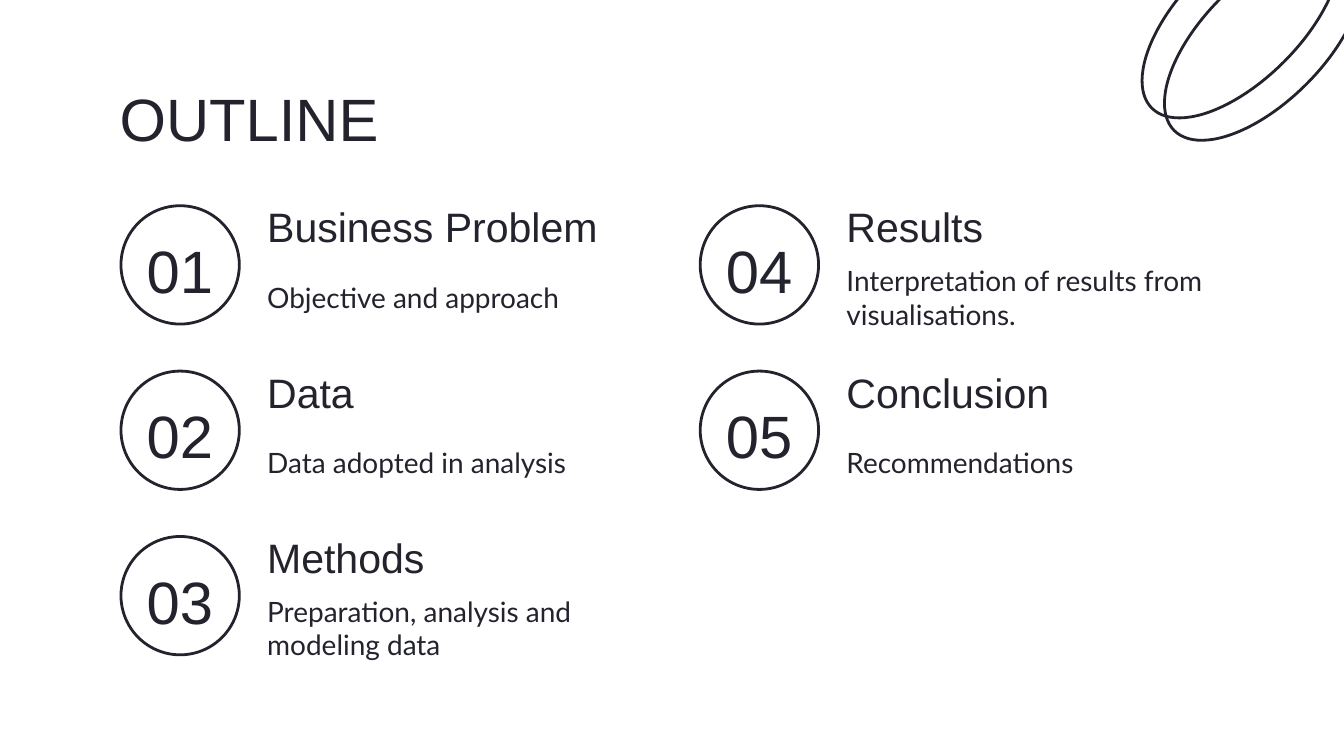
from pptx import Presentation
from pptx.dml.color import RGBColor
from pptx.enum.shapes import MSO_SHAPE
from pptx.enum.text import MSO_ANCHOR, MSO_AUTO_SIZE, PP_ALIGN
from pptx.util import Pt

INK = RGBColor(0x23, 0x23, 0x2D)
WHITE = RGBColor(0xFF, 0xFF, 0xFF)

TOPICS = [
    ("Business Problem", "Objective and approach"),
    ("Data", "Data adopted in analysis"),
    ("Methods", "Preparation, analysis and modeling data"),
    ("Results", "Interpretation of results from visualisations."),
    ("Conclusion", "Recommendations"),
]
ROWS = 3
LEFT, TOP = 64.8, 110.2
COLUMN_STEP, ROW_STEP = 310.3, 88.6
RING = 63.4


def add_outline_oval(left, top, width, height, rotation=0):
    oval = slide.shapes.add_shape(
        MSO_SHAPE.OVAL, Pt(left), Pt(top), Pt(width), Pt(height))
    oval.rotation = rotation
    oval.shadow.inherit = False
    oval.fill.background()
    oval.line.color.rgb = INK
    oval.line.width = Pt(1.5)


def write(box, text, size, font="Arial", align=PP_ALIGN.LEFT,
          anchor=MSO_ANCHOR.MIDDLE, inset_top=7.2):
    frame = box.text_frame
    frame.text = text
    frame_format = {
        "word_wrap": True, "auto_size": MSO_AUTO_SIZE.NONE,
        "vertical_anchor": anchor, "margin_top": Pt(inset_top),
        "margin_left": Pt(7.2), "margin_right": Pt(7.2), "margin_bottom": Pt(7.2),
    }
    for name, value in frame_format.items():
        setattr(frame, name, value)
    paragraph = frame.paragraphs[0]
    paragraph.alignment = align
    letters = paragraph.runs[0].font
    letters.name = font
    letters.size = Pt(size)
    letters.color.rgb = INK


deck = Presentation()
deck.slide_width, deck.slide_height = Pt(720), Pt(405)
slide = deck.slides.add_slide(deck.slide_layouts[5])
slide.background.fill.solid()
slide.background.fill.fore_color.rgb = WHITE

heading = slide.shapes.title
title_place = {"left": 56.9, "top": 36.7, "width": 455, "height": 46.8}
for name, value in title_place.items():
    setattr(heading, name, Pt(value))
write(heading, "OUTLINE", 32, anchor=MSO_ANCHOR.TOP)

for center_x, center_y in [(664.8, 10.2), (676.8, 22.2)]:
    add_outline_oval(center_x - 67.5, center_y - 32.5, 135, 65, rotation=-45)

for index, (topic, detail) in enumerate(TOPICS):
    column, row = divmod(index, ROWS)
    x = LEFT + column * COLUMN_STEP
    y = TOP + row * ROW_STEP
    add_outline_oval(x, y, RING, RING)

    number_box = slide.shapes.add_textbox(Pt(x + 1.4), Pt(y + 11.2), Pt(60.5), Pt(41.8))
    write(number_box, f"{index + 1:02}", 32, align=PP_ALIGN.CENTER, inset_top=11.5)

    topic_box = slide.shapes.add_textbox(Pt(x + 71.3), Pt(y - 3.6), Pt(208), Pt(29.5))
    write(topic_box, topic, 22)

    detail_box = slide.shapes.add_textbox(Pt(x + 71.3), Pt(y + 21.6), Pt(208), Pt(54.7))
    write(detail_box, detail, 15, font="Lato")

deck.save("out.pptx")
